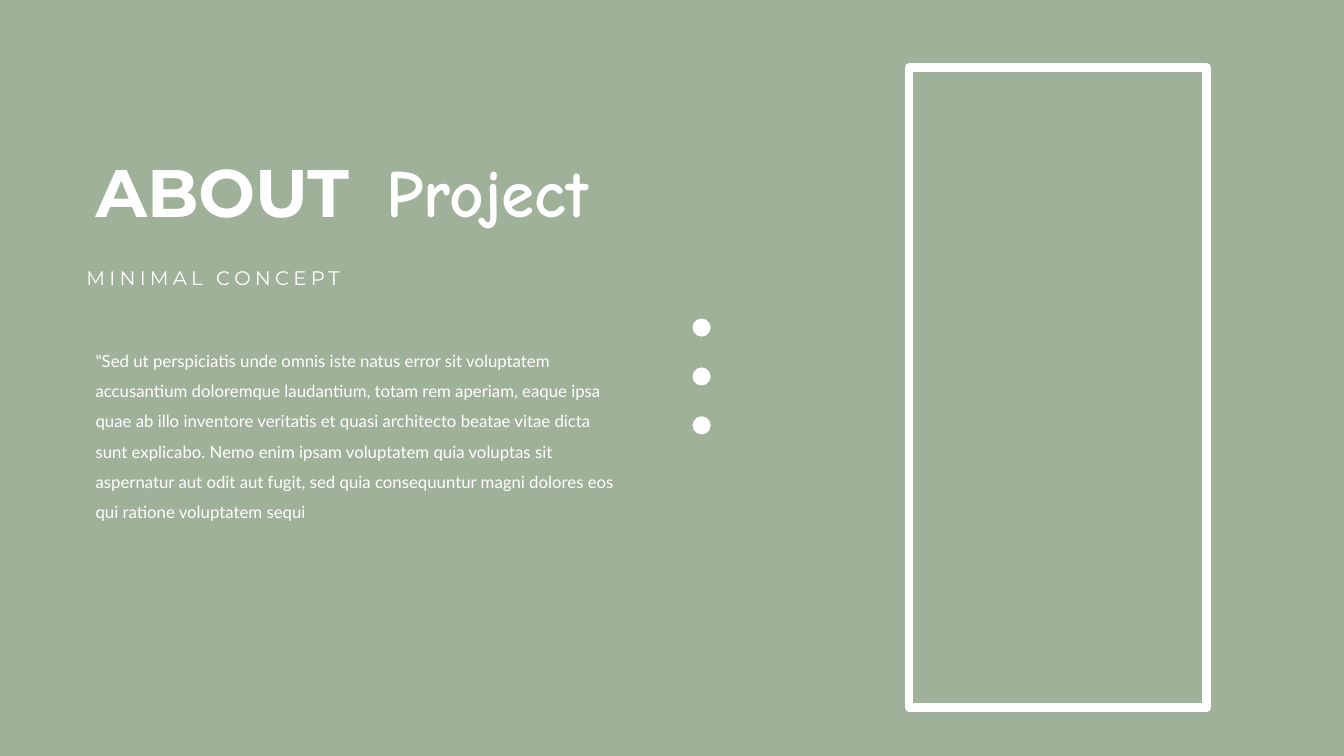
from dataclasses import dataclass
from typing import Any

from pptx import Presentation, util as u
from pptx.dml import color
from pptx.enum import shapes, text

COLUMNS, ROWS = 80, 45
WIDTH, HEIGHT = u.Inches(13.33), u.Inches(7.5)
COLORS = {"sage": "A0B19A", "white": "FFFFFF"}
DOT_COUNT, DOT_STEP = 3, 2.91


@dataclass(frozen=True)
class Area:
    column: float
    row: float
    columns: float
    rows: float

    def lengths(self) -> tuple[int, int, int, int]:
        """Left, top, width and height in EMU."""
        return (
            round(self.column * WIDTH / COLUMNS),
            round(self.row * HEIGHT / ROWS),
            round(self.columns * WIDTH / COLUMNS),
            round(self.rows * HEIGHT / ROWS),
        )


@dataclass(frozen=True)
class Span:
    words: str
    font: dict[str, Any]
    tracking: float = 0


@dataclass(frozen=True)
class TextBlock:
    area: Area
    spans: list[Span]
    paragraph: dict[str, Any]
    fit: text.MSO_AUTO_SIZE = text.MSO_AUTO_SIZE.SHAPE_TO_FIT_TEXT


HEADING = {"name": "Montserrat", "size": u.Pt(48), "bold": True}
LABEL = {"name": "Montserrat", "size": u.Pt(14)}
BODY = {"name": "Lato", "size": u.Pt(12)}

FRAME = Area(54.12, 4.02, 17.7, 38.1)
DOTS = [Area(41.22, 18.96 + i * DOT_STEP, 1.08, 1.08) for i in range(DOT_COUNT)]
TEXTS = [
    TextBlock(
        Area(5.1, 8.64, 32.88, 5.46),
        [
            Span("ABOUT", HEADING),
            Span(" ", HEADING, tracking=13),
            Span("Project", HEADING | {"name": "Comic Neue"}),
        ],
        {},
    ),
    TextBlock(
        Area(5.1, 19.98, 32.64, 16.74),
        [
            Span(
                '"Sed ut perspiciatis unde omnis iste natus error sit voluptatem '
                "accusantium doloremque laudantium, totam rem aperiam, eaque ipsa "
                "quae ab illo inventore veritatis et quasi architecto beatae vitae "
                "dicta sunt explicabo. Nemo enim ipsam voluptatem quia voluptas sit "
                "aspernatur aut odit aut fugit, sed quia consequuntur magni dolores "
                "eos qui ratione voluptatem sequi",
                BODY,
            )
        ],
        {"line_spacing": 1.5, "space_before": u.Pt(10)},
        text.MSO_AUTO_SIZE.NONE,
    ),
    TextBlock(
        Area(4.56, 15.54, 34.02, 2.04),
        [Span("MINIMAL CONCEPT", LABEL, tracking=3)],
        {},
    ),
]


def rgb(name: str) -> color.RGBColor:
    return color.RGBColor.from_string(COLORS[name])


def apply(target: Any, formats: dict[str, Any]) -> None:
    for name, value in formats.items():
        setattr(target, name, value)


def draw_frame(page: Any, area: Area) -> None:
    box = page.shapes.add_shape(shapes.MSO_SHAPE.RECTANGLE, *area.lengths())
    box.shadow.inherit = False
    box.fill.background()
    box.line.color.rgb = rgb("white")
    box.line.width = u.Pt(6)


def draw_dot(page: Any, area: Area) -> None:
    dot = page.shapes.add_shape(shapes.MSO_SHAPE.OVAL, *area.lengths())
    dot.shadow.inherit = False
    dot.fill.solid()
    dot.fill.fore_color.rgb = rgb("white")
    dot.line.fill.background()


def draw_text(page: Any, block: TextBlock) -> None:
    frame = page.shapes.add_textbox(*block.area.lengths()).text_frame
    apply(frame, {"word_wrap": True, "auto_size": block.fit})
    para = frame.paragraphs[0]
    apply(para, block.paragraph)
    for span in block.spans:
        run = para.add_run()
        run.text = span.words
        apply(run.font, span.font)
        run.font.color.rgb = rgb("white")
        if span.tracking:
            run.font._element.set("spc", str(round(span.tracking * 100)))


def main() -> None:
    deck = Presentation()
    apply(deck, {"slide_width": WIDTH, "slide_height": HEIGHT})
    page = deck.slides.add_slide(deck.slide_layouts[6])
    page.background.fill.solid()
    page.background.fill.fore_color.rgb = rgb("sage")
    draw_frame(page, FRAME)
    for dot in DOTS:
        draw_dot(page, dot)
    for block in TEXTS:
        draw_text(page, block)
    deck.save("out.pptx")


if __name__ == "__main__":
    main()
